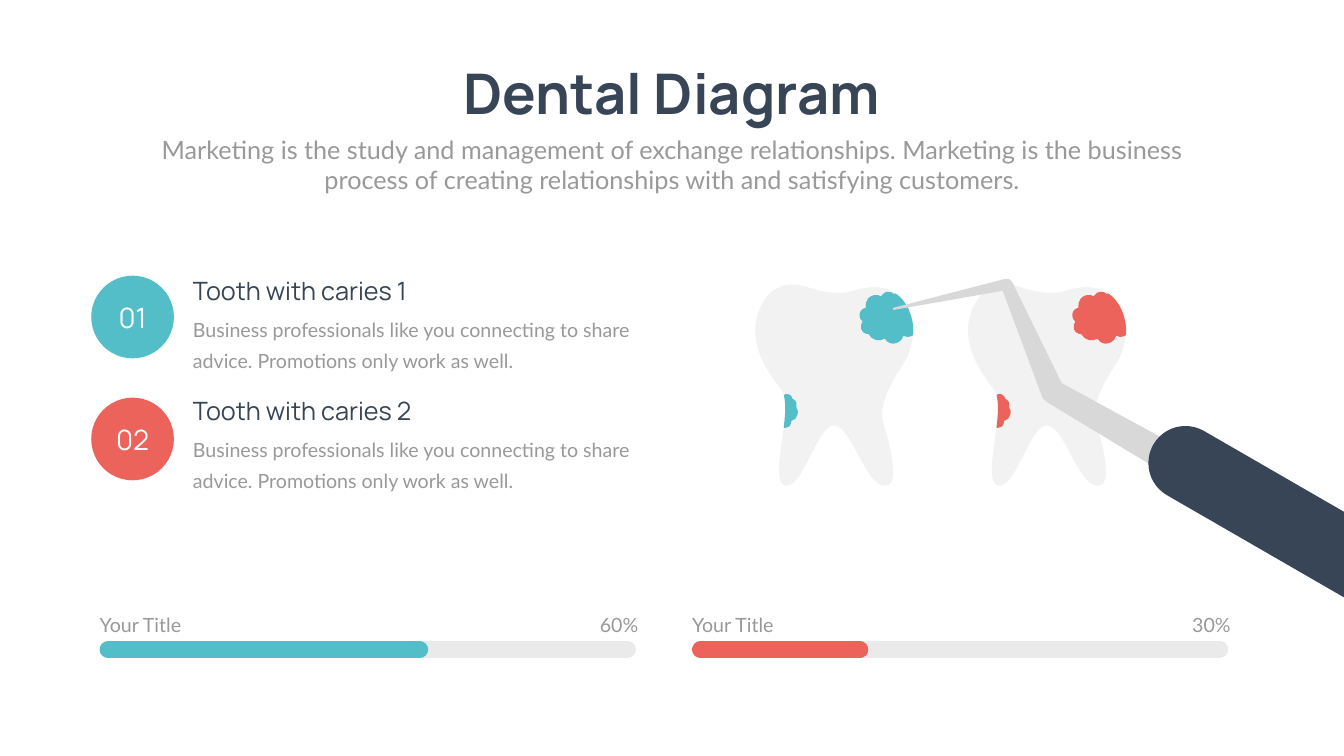
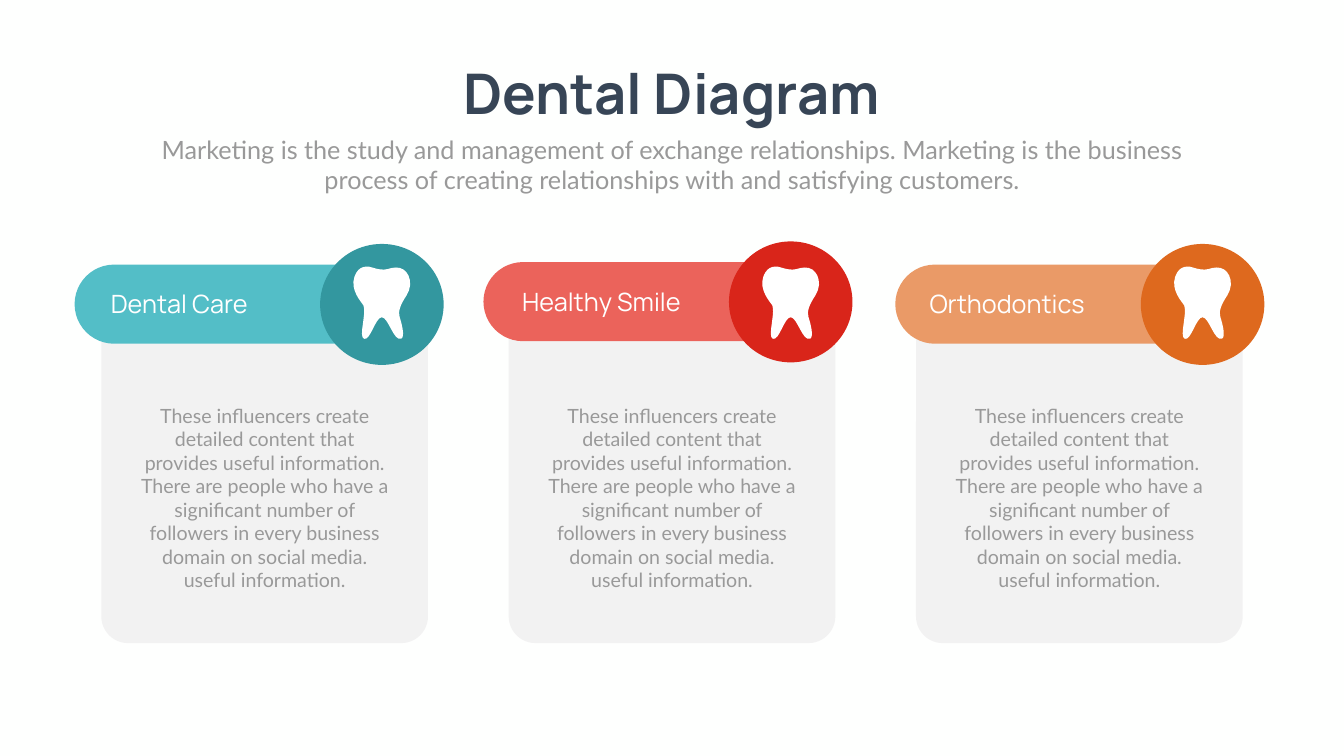
import math

from lxml import etree
from pptx import Presentation, util as u
from pptx.dml.color import RGBColor
from pptx.enum import shapes, text
from pptx.oxml import ns

WIDTH, HEIGHT = 26.66, 15
PAPER = RGBColor(0xFE, 0xFF, 0xFE)
WHITE = RGBColor(0xFF, 0xFF, 0xFF)
NAVY = RGBColor(0x37, 0x45, 0x56)
GREY = RGBColor(0x99, 0x99, 0x99)
PALE = RGBColor(0xF2, 0xF2, 0xF2)
TRACK = RGBColor(0xEA, 0xEA, 0xEA)
STEEL = RGBColor(0xD8, 0xD8, 0xD8)
TEAL = RGBColor(0x53, 0xBE, 0xC7)
DEEP_TEAL = RGBColor(0x33, 0x97, 0x9F)
CORAL = RGBColor(0xEB, 0x63, 0x5B)
RED = RGBColor(0xD9, 0x25, 0x1A)
PEACH = RGBColor(0xEA, 0x9A, 0x67)
ORANGE = RGBColor(0xDE, 0x69, 0x1E)

# Text styles: font settings, plus paragraph settings
TITLE = dict(name="Manrope", size=u.Pt(80), bold=True, color=NAVY)
HEADING = dict(name="Manrope", size=u.Pt(36), color=NAVY)
LABEL = dict(HEADING, color=WHITE)
NUMBER = dict(LABEL, size=u.Pt(40))
SUBTITLE = dict(name="Lato", size=u.Pt(36), color=GREY)
BODY = dict(SUBTITLE, size=u.Pt(28))
CENTRED = dict(alignment=text.PP_ALIGN.CENTER)
RIGHT = dict(alignment=text.PP_ALIGN.RIGHT)

# Content
TITLE_TEXT = "Dental Diagram"
SUBTITLE_TEXT = ("Marketing is the study and management of exchange relationships. "
                 "Marketing is the business process of creating relationships with "
                 "and satisfying customers.")
CARIES_TEXT = ("Business professionals like you connecting to share advice. "
               "Promotions only work as well.")
CARIES = [("01", "Tooth with caries 1", TEAL), ("02", "Tooth with caries 2", CORAL)]
# caption, value, bar length, colour
PROGRESS = [("Your Title", "60%", 6.17, TEAL), ("Your Title", "30%", 3.15, CORAL)]
CARD_TEXT = ("These influencers create detailed content that provides useful information. "
             "There are people who have a significant number of followers in every "
             "business domain on social media. useful information.")
# label, pill colour, circle colour, pill left, pill top, label indent, card top
CARDS = [
    ("Dental Care", TEAL, DEEP_TEAL, 1.48, 5.25, 0.62, 5.97),
    ("Healthy Smile", CORAL, RED, 9.59, 5.2, 0.67, 5.4),
    ("Orthodontics", PEACH, ORANGE, 17.76, 5.25, 0.58, 5.97),
]

# Outlines: a start point, then lines (2 numbers) and Bezier curves (6 numbers)
TOOTH_LEFT, TOOTH_TOP, TOOTH_STEP = 14.98, 5.65, 4.22
TOOTH = [
    (15.67, 5.65), (15.79, 5.64, 15.92, 5.66, 16.06, 5.71),
    (16.29, 5.79, 16.63, 5.85, 16.85, 5.79), (17.2, 5.68, 17.48, 5.65, 17.74, 5.81),
    (17.97, 5.97, 18.12, 6.25, 18.11, 6.65), (18.09, 6.86, 18.03, 7.04, 17.92, 7.22),
    (17.54, 7.79, 17.44, 8.14, 17.53, 8.43), (17.62, 8.71, 17.85, 9.52, 17.62, 9.62),
    (17.21, 9.8, 16.91, 8.45, 16.55, 8.44), (16.2, 8.43, 15.92, 9.74, 15.57, 9.63),
    (15.4, 9.57, 15.45, 9.19, 15.51, 8.77), (15.55, 8.45),
    (15.58, 8.22, 15.59, 8, 15.54, 7.8), (15.53, 7.77, 15.51, 7.75, 15.49, 7.72),
    (15.22, 7.37, 14.71, 6.68, 15.16, 5.96), (15.28, 5.76, 15.47, 5.66, 15.67, 5.65),
]
CROWN_CARIES = [
    (17.61, 5.79), (17.66, 5.78, 17.7, 5.8, 17.74, 5.84), (17.75, 5.82), (17.79, 5.84),
    (17.97, 5.97, 18.12, 6.25, 18.12, 6.59), (18.11, 6.65), (18.08, 6.67),
    (18.03, 6.7, 17.97, 6.69, 17.92, 6.66), (17.9, 6.74, 17.84, 6.79, 17.77, 6.81),
    (17.69, 6.84, 17.6, 6.8, 17.55, 6.72), (17.44, 6.79, 17.29, 6.75, 17.23, 6.63),
    (17.16, 6.63, 17.1, 6.59, 17.08, 6.52), (17.07, 6.47, 17.08, 6.42, 17.11, 6.38),
    (17.07, 6.35, 17.04, 6.3, 17.05, 6.24), (17.06, 6.17, 17.1, 6.12, 17.17, 6.11),
    (17.16, 6.04, 17.18, 5.97, 17.22, 5.92), (17.29, 5.85, 17.39, 5.83, 17.48, 5.88),
    (17.5, 5.85), (17.53, 5.81, 17.57, 5.79, 17.61, 5.79),
]
ROOT_CARIES = [
    (15.62, 7.82), (15.63, 7.82, 15.65, 7.82, 15.66, 7.83),
    (15.69, 7.84, 15.71, 7.87, 15.72, 7.91), (15.75, 7.93),
    (15.77, 7.94, 15.79, 7.97, 15.8, 8), (15.81, 8.03, 15.81, 8.06, 15.8, 8.09),
    (15.83, 8.13, 15.84, 8.18, 15.82, 8.23), (15.81, 8.29, 15.76, 8.34, 15.7, 8.35),
    (15.7, 8.39, 15.68, 8.43, 15.66, 8.46), (15.63, 8.48, 15.61, 8.49, 15.58, 8.49),
    (15.55, 8.49), (15.55, 8.45), (15.58, 8.22, 15.59, 8, 15.55, 7.85), (15.55, 7.84),
    (15.57, 7.82, 15.6, 7.81, 15.62, 7.82),
]
PROBE = [
    (20.77, 7.98), (20.75, 7.96), (20.71, 7.94, 20.69, 7.91, 20.67, 7.87),
    (19.89, 5.77), (17.72, 6.15), (17.71, 6.11), (19.95, 5.53),
    (19.99, 5.52, 20.05, 5.54, 20.07, 5.59), (20.08, 5.6), (21.06, 7.6), (23.11, 8.72),
    (23.02, 8.83, 22.87, 9.02, 22.82, 9.22), (20.77, 7.98),
]


def inches(*lengths):
    return [u.Inches(length) for length in lengths]


def write(shape, words, font, **layout):
    frame = shape.text_frame
    frame.word_wrap = True
    frame.auto_size = text.MSO_AUTO_SIZE.NONE
    frame.text = words
    paragraph = frame.paragraphs[0]
    for name, value in layout.items():
        setattr(paragraph, name, value)
    for name, value in font.items():
        if name == "color":
            paragraph.font.color.rgb = value
        else:
            setattr(paragraph.font, name, value)


def add_text(slide, box, words, font, **layout):
    write(slide.shapes.add_textbox(*inches(*box)), words, font, **layout)


def paint(shape, color):
    shape.shadow.inherit = False
    shape.fill.solid()
    shape.fill.fore_color.rgb = color
    shape.line.fill.background()
    return shape


def add_shape(slide, kind, box, color, corner=None):
    shape = paint(slide.shapes.add_shape(kind, *inches(*box)), color)
    if corner is not None:
        shape.adjustments[0] = corner
    return shape


def turn(point, degrees):
    x, y = point
    cosine, sine = math.cos(math.radians(degrees)), math.sin(math.radians(degrees))
    return x * cosine - y * sine, x * sine + y * cosine


def extent(segments, steps=20):
    """Return the least and greatest x and y that the curves reach."""
    reached = [segments[0][0]]
    for segment in segments[1:]:
        if len(segment) == 3:
            corners = [reached[-1], *segment]
            for t in (step / steps for step in range(1, steps)):
                weights = ((1 - t) ** 3, 3 * t * (1 - t) ** 2, 3 * t * t * (1 - t), t ** 3)
                reached.append(tuple(sum(w * c[axis] for w, c in zip(weights, corners))
                                     for axis in (0, 1)))
        reached.append(segment[-1])
    return [(min(values), max(values)) for values in zip(*reached)]


def add_outline(slide, outline, color, left=TOOTH_LEFT, top=TOOTH_TOP, scale=1, rotation=0):
    """Draw an outline with the first tooth's corner moved to left, top."""
    segments = [[turn((left + (x - TOOTH_LEFT) * scale, top + (y - TOOTH_TOP) * scale),
                      -rotation) for x, y in zip(segment[::2], segment[1::2])]
                for segment in outline]
    (x_min, x_max), (y_min, y_max) = extent(segments)
    builder = slide.shapes.build_freeform(*inches(x_min, y_min), scale=1.0)
    builder.add_line_segments([inches(x_max, y_max)])
    shape = paint(builder.convert_to_shape(), color)

    # Lines and curves inside the frame
    track = shape._element.spPr.find(".//" + ns.qn("a:path"))
    for child in list(track):
        track.remove(child)
    for index, segment in enumerate(segments):
        tag = "a:moveTo" if index == 0 else "a:cubicBezTo" if len(segment) == 3 else "a:lnTo"
        step = etree.SubElement(track, ns.qn(tag))
        for x, y in segment:
            across, down = inches(x - x_min, y - y_min)
            etree.SubElement(step, ns.qn("a:pt"), x=str(int(across)), y=str(int(down)))
    etree.SubElement(track, ns.qn("a:close"))

    # Turn the frame about its centre
    x, y = turn(((x_min + x_max) / 2, (y_min + y_max) / 2), rotation)
    shape.left, shape.top = inches(x - (x_max - x_min) / 2, y - (y_max - y_min) / 2)
    shape.rotation = rotation


def add_bar(slide, left, length, top, color):
    bar = slide.shapes.add_connector(shapes.MSO_CONNECTOR.STRAIGHT,
                                     *inches(left, top, left + length, top))
    bar.line.color.rgb = color
    bar.line.width = u.Pt(25)
    properties = bar._element.spPr
    properties.find(ns.qn("a:ln")).set("cap", "rnd")
    etree.SubElement(properties, ns.qn("a:effectLst"))


def add_slide(presentation):
    """Start a slide with the shared title and subtitle."""
    slide = presentation.slides.add_slide(presentation.slide_layouts[5])
    title = slide.shapes.title
    title.left, title.top, title.width, title.height = inches(8.65, 1.12, 9.35, 1.45)
    write(title, TITLE_TEXT, TITLE, **CENTRED)
    title.text_frame.vertical_anchor = text.MSO_ANCHOR.TOP
    add_text(slide, (2.92, 2.61, 20.82, 1.31), SUBTITLE_TEXT, SUBTITLE, **CENTRED)
    return slide


def build_caries_slide(presentation):
    slide = add_slide(presentation)

    # Teeth and numbered notes
    for index, (number, heading, color) in enumerate(CARIES):
        left = TOOTH_LEFT + index * TOOTH_STEP
        for outline, fill in ((TOOTH, PALE), (CROWN_CARIES, color), (ROOT_CARIES, color)):
            add_outline(slide, outline, fill, left)
        badge = add_shape(slide, shapes.MSO_SHAPE.OVAL,
                          (1.81, 5.47 + index * 2.42, 1.64, 1.64), color)
        write(badge, number, NUMBER, **CENTRED)
        top = 5.42 + index * 2.38
        add_text(slide, (3.73, top, 5.61, 0.71), heading, HEADING)
        add_text(slide, (3.73, top + 0.7, 9.17, 1.13), CARIES_TEXT, BODY, line_spacing=1.31)

    # Dental probe
    add_outline(slide, PROBE, STEEL, rotation=300)
    handle = add_shape(slide, shapes.MSO_SHAPE.ROUNDED_RECTANGLE,
                       (22.26, 10.39, 9.22, 1.47), NAVY, 0.5)
    handle.rotation = 30

    # Progress bars
    top = 12.89
    for index, (caption, value, length, color) in enumerate(PROGRESS):
        left = 2.15 + index * 11.75
        add_bar(slide, left, 10.29, top, TRACK)
        add_bar(slide, left, length, top, color)
        add_text(slide, (left - 0.27, 11.9, 4.77, 0.62), caption, BODY, line_spacing=1.46)
        add_text(slide, (left + 7.2, 11.9, 3.41, 0.62), value, BODY,
                 line_spacing=1.46, **RIGHT)


def build_cards_slide(presentation):
    slide = add_slide(presentation)
    rounded = shapes.MSO_SHAPE.ROUNDED_RECTANGLE
    bottom = 12.76
    for index, (label, color, dark, left, top, indent, card_top) in enumerate(CARDS):
        card_left = 2.01 + index * 8.08
        # Card, pill and circle
        add_shape(slide, rounded, (card_left, card_top, 6.48, bottom - card_top), PALE, 0.082)
        add_shape(slide, rounded, (left, top, 7, 1.57), color, 0.5)
        add_shape(slide, shapes.MSO_SHAPE.OVAL, (left + 4.87, top - 0.41, 2.45, 2.4), dark)
        # Label, tooth and text
        add_text(slide, (left + indent, top + 0.43, 4.44, 0.71), label, LABEL)
        add_outline(slide, TOOTH, WHITE, left + 5.53, 5.29, 0.36, 328.6)
        add_text(slide, (card_left + 0.67, 7.96, 5.14, 3.87), CARD_TEXT, BODY, **CENTRED)


def main():
    presentation = Presentation()
    presentation.slide_width, presentation.slide_height = inches(WIDTH, HEIGHT)
    background = presentation.slide_master.background.fill
    background.solid()
    background.fore_color.rgb = PAPER
    build_caries_slide(presentation)
    build_cards_slide(presentation)
    presentation.save("out.pptx")


if __name__ == "__main__":
    main()
